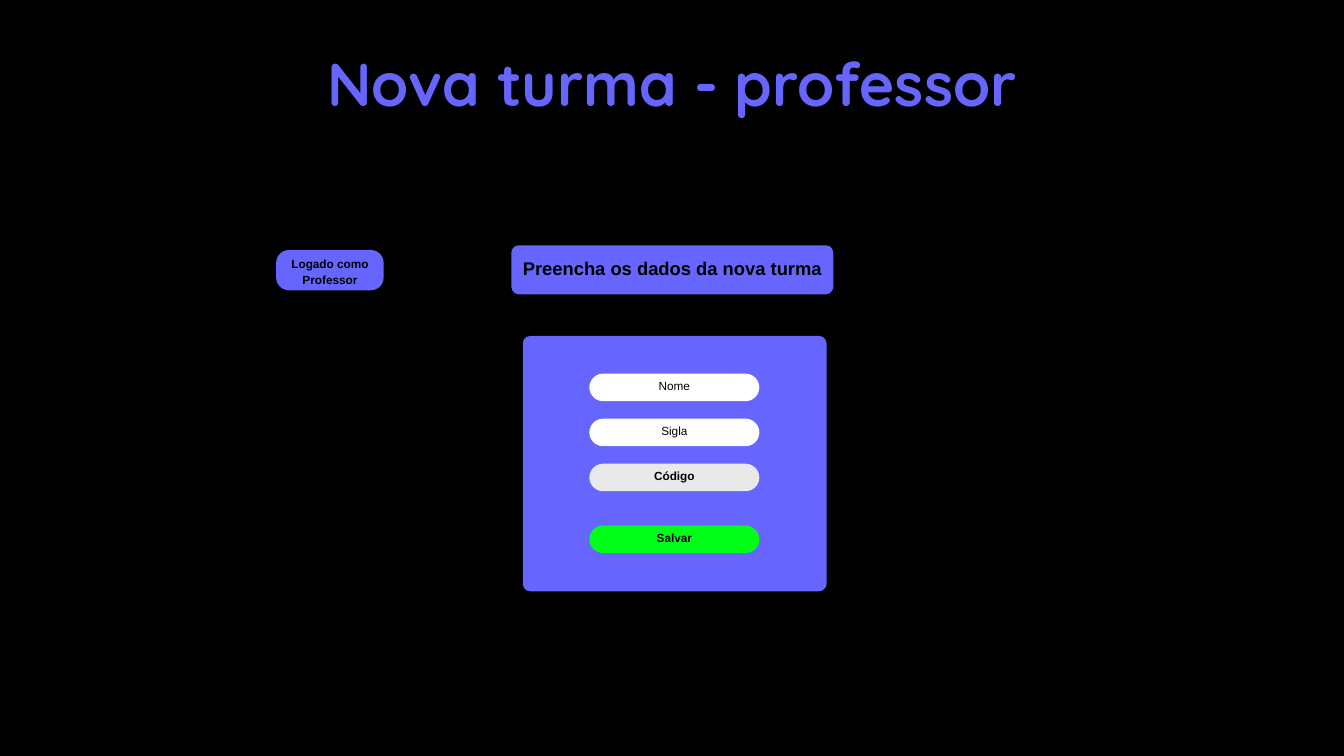
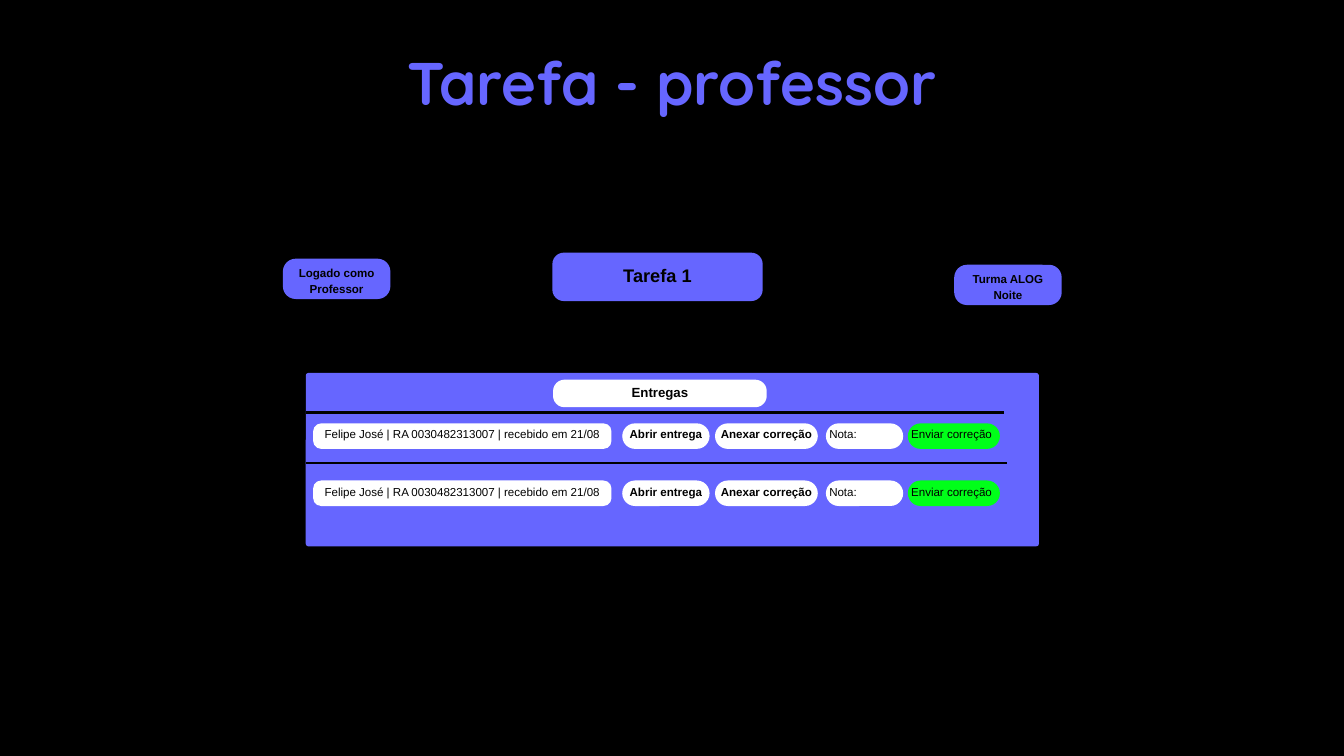
from dataclasses import dataclass
from typing import NamedTuple

from lxml.etree import SubElement
from pptx import Presentation
from pptx.dml.color import RGBColor as RGB
from pptx.enum.shapes import MSO_CONNECTOR as Link, MSO_SHAPE as Form
from pptx.enum.text import MSO_ANCHOR as Anchor, PP_ALIGN as Align
from pptx.oxml.ns import qn
from pptx.slide import Slide
from pptx.util import Inches, Pt


class Sizes(NamedTuple):
    title: float
    head: float
    body: float


@dataclass(frozen=True)
class Theme:
    black: RGB = RGB(0x00, 0x00, 0x00)
    violet: RGB = RGB(0x66, 0x66, 0xFF)
    white: RGB = RGB(0xFF, 0xFF, 0xFF)
    grey: RGB = RGB(0xE9, 0xE9, 0xE9)
    green: RGB = RGB(0x00, 0xFF, 0x19)
    title_font: str = "Quicksand"
    font: str = "Arial"
    form: Sizes = Sizes(64.8, 19.7, 12.6)
    task: Sizes = Sizes(64.4, 19.5, 12.4)
    label: float = 14.2
    leading: float = 1.4
    tight: float = 1.35
    rule: float = 3
    inset: float = 0.05
    lift: float = 0.09


THEME = Theme()


@dataclass(frozen=True)
class Text:
    text: str
    size: float
    bold: bool = True
    align: Align = Align.CENTER
    anchor: Anchor = Anchor.MIDDLE
    leading: float = THEME.leading
    font: str = THEME.font
    color: RGB = THEME.black
    inset: float = THEME.inset


@dataclass(frozen=True)
class Box:
    left: float
    top: float
    width: float
    height: float
    fill: RGB
    radius: float
    label: Text | None = None


class Cell(NamedTuple):
    left: float
    width: float
    text: str
    fill: RGB = THEME.white
    radius: float = 0.19
    bold: bool = False
    align: Align = Align.CENTER


def write(slide: Slide, left: float, top: float, width: float,
          height: float, item: Text) -> None:
    frame = slide.shapes.add_textbox(
        Inches(left), Inches(top), Inches(width), Inches(height)).text_frame
    frame.text = item.text
    frame.word_wrap = True
    frame.vertical_anchor = item.anchor
    frame.margin_left = frame.margin_right = Inches(item.inset)
    frame.margin_top = frame.margin_bottom = Inches(item.inset)
    para = frame.paragraphs[0]
    para.alignment = item.align
    para.line_spacing = Pt(round(item.size * item.leading, 1))
    face = para.runs[0].font
    face.name, face.size, face.bold = item.font, Pt(item.size), item.bold
    face.color.rgb = item.color


def draw(slide: Slide, box: Box) -> None:
    """Draw a rounded box; its label uses the full width, a little raised."""
    shape = slide.shapes.add_shape(
        Form.ROUNDED_RECTANGLE, Inches(box.left), Inches(box.top),
        Inches(box.width), Inches(box.height))
    shape.adjustments[0] = min(0.5, box.radius / box.height)
    shape.shadow.inherit = False
    shape.fill.solid()
    shape.fill.fore_color.rgb = box.fill
    shape.line.fill.background()
    if box.label:
        write(slide, box.left, box.top - THEME.lift, box.width,
              box.height + THEME.lift, box.label)


def badge(slide: Slide, left: float, top: float, text: str,
          size: float) -> None:
    draw(slide, Box(left, top, 1.6, 0.6, THEME.violet, 0.19,
                    Text(text, size, anchor=Anchor.BOTTOM,
                         leading=THEME.tight)))


def rule(slide: Slide, left: float, right: float, top: float) -> None:
    line = slide.shapes.add_connector(
        Link.STRAIGHT, Inches(left), Inches(top), Inches(right), Inches(top))
    line.line.color.rgb = THEME.black
    line.line.width = Pt(THEME.rule)
    SubElement(line._element.spPr, qn("a:effectLst"))


def start(deck: Presentation, title: str, size: float) -> Slide:
    """Add a black slide with its centred title."""
    slide = deck.slides.add_slide(deck.slide_layouts[6])
    slide.background.fill.solid()
    slide.background.fill.fore_color.rgb = THEME.black
    write(slide, 3.75, 0.5, 12.5, 1.2,
          Text(title, size, anchor=Anchor.TOP, font=THEME.title_font,
               color=THEME.violet, inset=0))
    return slide


def class_form(deck: Presentation) -> None:
    sizes = THEME.form
    slide = start(deck, "Nova turma - professor", sizes.title)
    draw(slide, Box(7.61, 3.65, 4.79, 0.73, THEME.violet, 0.11,
                    Text("Preencha os dados da nova turma", sizes.head)))
    draw(slide, Box(7.78, 5, 4.52, 3.8, THEME.violet, 0.11))
    badge(slide, 4.11, 3.72, "Logado como Professor", sizes.body)

    first, pitch = 5.56, 0.67
    fields = [("Nome", THEME.white, False), ("Sigla", THEME.white, False),
              ("Código", THEME.grey, True)]
    pills = [(first + row * pitch, *field)
             for row, field in enumerate(fields)]
    pills.append((7.82, "Salvar", THEME.green, True))
    for top, text, fill, bold in pills:
        draw(slide, Box(8.77, top, 2.53, 0.41, fill, 0.21,
                        Text(text, sizes.body, bold)))


def task_list(deck: Presentation) -> None:
    sizes = THEME.task
    slide = start(deck, "Tarefa - professor", sizes.title)
    draw(slide, Box(8.22, 3.76, 3.13, 0.72, THEME.violet, 0.17,
                    Text("Tarefa 1", sizes.head)))
    badge(slide, 4.21, 3.85, "Logado como Professor", sizes.body)
    badge(slide, 14.2, 3.94, "Turma ALOG Noite", sizes.body)
    draw(slide, Box(4.55, 5.55, 10.91, 2.58, THEME.violet, 0.04))
    draw(slide, Box(8.23, 5.65, 3.18, 0.41, THEME.white, 0.17,
                    Text("Entregas", THEME.label)))
    rule(slide, 4.55, 14.94, 6.14)
    rule(slide, 4.55, 14.98, 6.89)

    cells = [
        Cell(4.66, 4.44, "Felipe José | RA 0030482313007 | recebido em 21/08",
             radius=0.12),
        Cell(9.26, 1.3, "Abrir entrega", bold=True),
        Cell(10.64, 1.53, "Anexar correção", bold=True),
        Cell(12.29, 1.15, "Nota:", align=Align.LEFT),
        Cell(13.51, 1.37, "Enviar correção", THEME.green, align=Align.LEFT),
    ]
    first, pitch = 6.3, 0.85
    for row in range(2):
        for cell in cells:
            draw(slide, Box(cell.left, first + row * pitch, cell.width, 0.38,
                            cell.fill, cell.radius,
                            Text(cell.text, sizes.body, cell.bold,
                                 cell.align)))


def main() -> None:
    deck = Presentation()
    deck.slide_width, deck.slide_height = Inches(20), Inches(11.25)
    class_form(deck)
    task_list(deck)
    deck.save("out.pptx")


if __name__ == "__main__":
    main()
